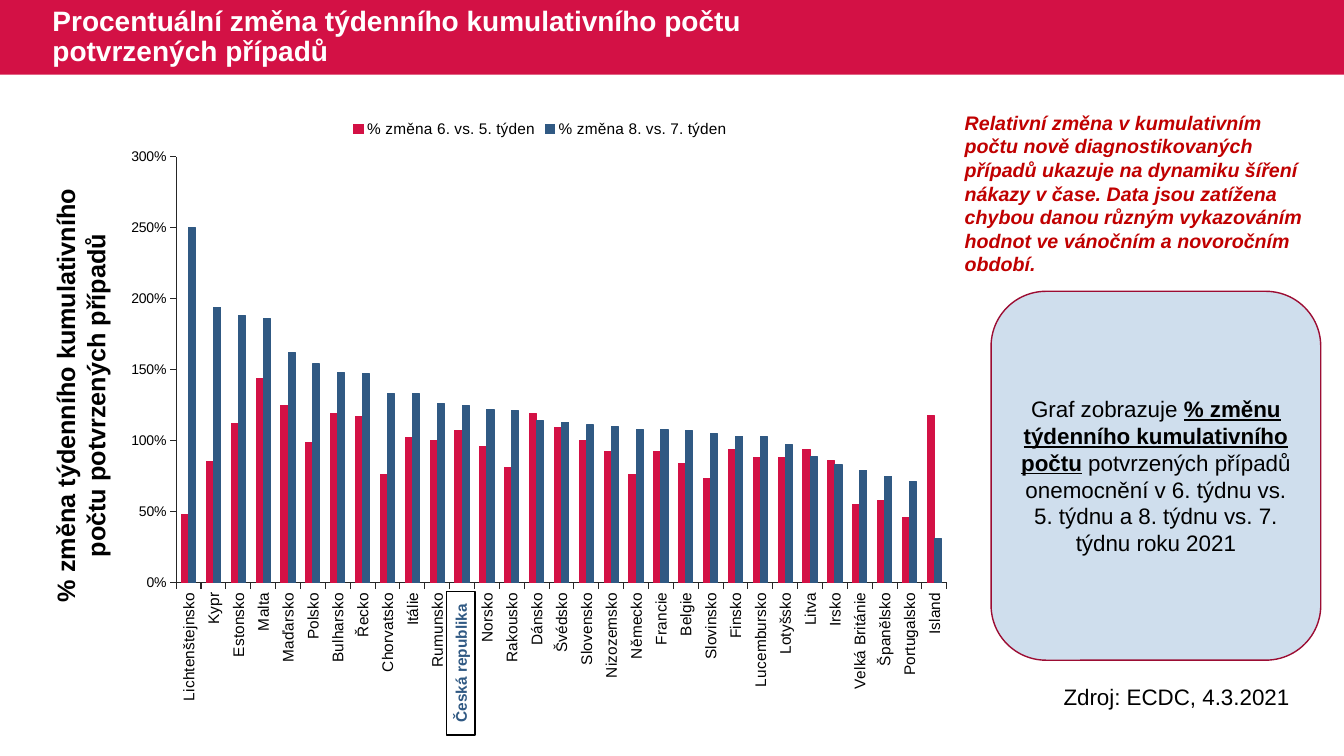
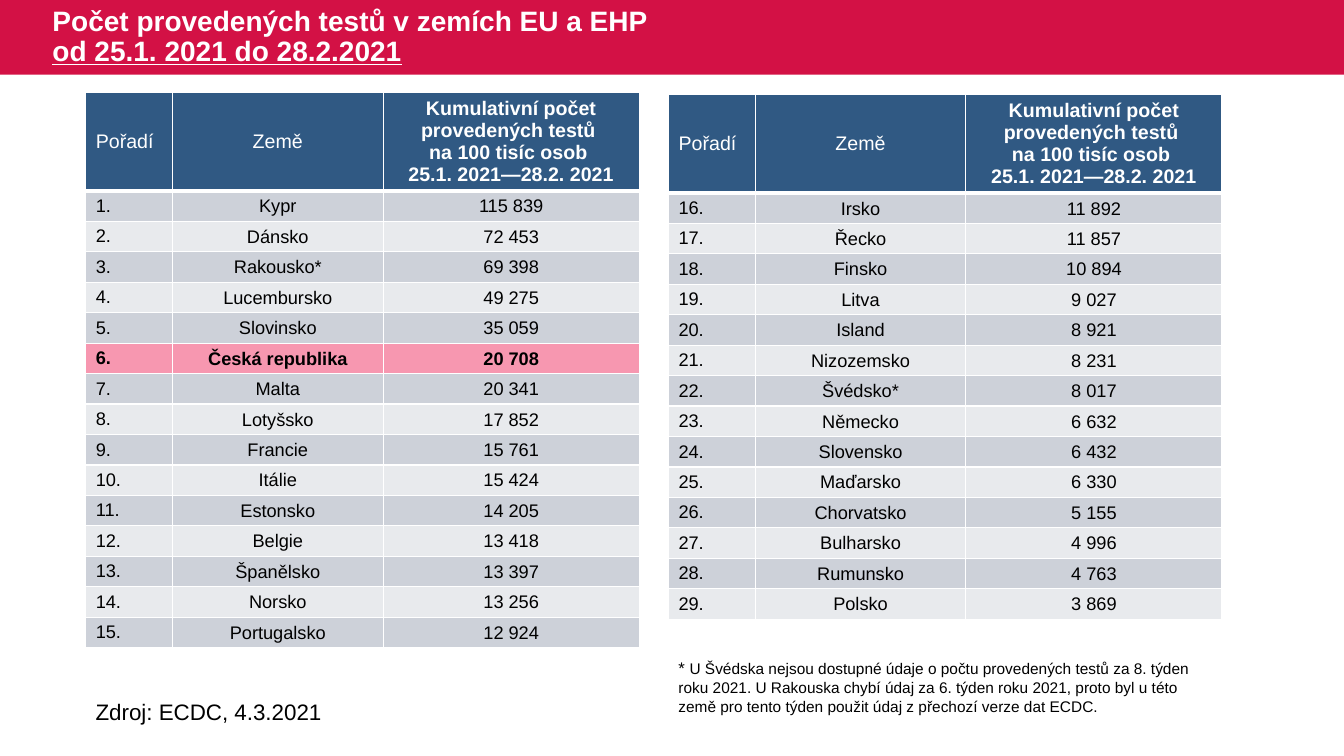
from lxml.etree import SubElement
from pptx import Presentation
from pptx.chart.data import CategoryChartData
from pptx.dml.color import RGBColor
from pptx.enum.chart import XL_CHART_TYPE, XL_LEGEND_POSITION, XL_TICK_MARK
from pptx.enum.shapes import MSO_SHAPE
from pptx.enum.text import MSO_ANCHOR, MSO_AUTO_SIZE, PP_ALIGN
from pptx.oxml import parse_xml
from pptx.oxml.ns import nsdecls, qn
from pptx.util import Inches, Pt

RED = RGBColor(0xD3, 0x11, 0x45)
DARK_RED = RGBColor(0x9C, 0x0D, 0x33)
NOTE_RED = RGBColor(0xC0, 0x00, 0x00)
PINK = RGBColor(0xF7, 0x97, 0xB0)
BLUE = RGBColor(0x30, 0x59, 0x83)
PALE_BLUE = RGBColor(0xCF, 0xDE, 0xED)
STRIPES = (RGBColor(0xE8, 0xEA, 0xED), RGBColor(0xCD, 0xD1, 0xD9))
AXIS_GREY = RGBColor(0x26, 0x26, 0x26)
BLACK = RGBColor(0, 0, 0)
WHITE = RGBColor(0xFF, 0xFF, 0xFF)
FONT = "Arial"
HOME = "Česká republika"
SOURCE = "Zdroj: ECDC, 4.3.2021"

SERIES = ("% změna 6. vs. 5. týden", "% změna 8. vs. 7. týden")
CHANGES = [
    ("Lichtenštejnsko", 0.48, 2.5), ("Kypr", 0.85, 1.94), ("Estonsko", 1.12, 1.88),
    ("Malta", 1.44, 1.86), ("Maďarsko", 1.25, 1.62), ("Polsko", 0.99, 1.54),
    ("Bulharsko", 1.19, 1.48), ("Řecko", 1.17, 1.47), ("Chorvatsko", 0.76, 1.33),
    ("Itálie", 1.02, 1.33), ("Rumunsko", 1, 1.26), (HOME, 1.07, 1.25),
    ("Norsko", 0.96, 1.22), ("Rakousko", 0.81, 1.21), ("Dánsko", 1.19, 1.14),
    ("Švédsko", 1.09, 1.13), ("Slovensko", 1, 1.11), ("Nizozemsko", 0.92, 1.1),
    ("Německo", 0.76, 1.08), ("Francie", 0.92, 1.08), ("Belgie", 0.84, 1.07),
    ("Slovinsko", 0.73, 1.05), ("Finsko", 0.94, 1.03), ("Lucembursko", 0.88, 1.03),
    ("Lotyšsko", 0.88, 0.97), ("Litva", 0.94, 0.89), ("Irsko", 0.86, 0.83),
    ("Velká Británie", 0.55, 0.79), ("Španělsko", 0.58, 0.75),
    ("Portugalsko", 0.46, 0.71), ("Island", 1.18, 0.31),
]
TESTS = [
    ("Kypr", "115 839"), ("Dánsko", "72 453"), ("Rakousko*", "69 398"),
    ("Lucembursko", "49 275"), ("Slovinsko", "35 059"), (HOME, "20 708"),
    ("Malta", "20 341"), ("Lotyšsko", "17 852"), ("Francie", "15 761"),
    ("Itálie", "15 424"), ("Estonsko", "14 205"), ("Belgie", "13 418"),
    ("Španělsko", "13 397"), ("Norsko", "13 256"), ("Portugalsko", "12 924"),
    ("Irsko", "11 892"), ("Řecko", "11 857"), ("Finsko", "10 894"),
    ("Litva", "9 027"), ("Island", "8 921"), ("Nizozemsko", "8 231"),
    ("Švédsko*", "8 017"), ("Německo", "6 632"), ("Slovensko", "6 432"),
    ("Maďarsko", "6 330"), ("Chorvatsko", "5 155"), ("Bulharsko", "4 996"),
    ("Rumunsko", "4 763"), ("Polsko", "3 869"),
]
FIRST_TABLE_ROWS = 15
COLUMN_WIDTHS = (0.86, 2.09, 2.54)
HEADER = (
    ["Pořadí"],
    ["Země"],
    ["Kumulativní počet provedených testů ", "na 100 tisíc osob ",
     "25.1. 2021—28.2. 2021"],
)


def box(left, top, width, height):
    return [Inches(v) for v in (left, top, width, height)]


def style_font(font, size, color=BLACK, **formats):
    font.color.rgb = color
    for name, value in {"name": FONT, "size": Pt(size), **formats}.items():
        setattr(font, name, value)


def write(p, runs, size, color=BLACK, align=PP_ALIGN.LEFT, **formats):
    p.alignment = align
    for text, extra in runs:
        r = p.add_run()
        r.text = text
        style_font(r.font, **{"size": size, "color": color, **formats, **extra})


def add_text(s, at, runs, size, color=BLACK, align=PP_ALIGN.LEFT, rotation=0, **formats):
    sp = s.shapes.add_textbox(*box(*at))
    sp.rotation = rotation
    tf = sp.text_frame
    tf.word_wrap = True
    tf.auto_size = MSO_AUTO_SIZE.SHAPE_TO_FIT_TEXT
    write(tf.paragraphs[0], runs, size, color, align, **formats)


def add_panel(s, kind, at, fill, line=None):
    sp = s.shapes.add_shape(kind, *box(*at))
    sp.shadow.inherit = False
    sp.fill.solid()
    sp.fill.fore_color.rgb = fill
    if line is None:
        sp.line.fill.background()
    else:
        sp.line.color.rgb = line
        sp.line.width = Pt(1)
    tf = sp.text_frame
    tf.word_wrap = True
    tf.vertical_anchor = MSO_ANCHOR.MIDDLE
    return sp


def add_title(s, *lines):
    sp = s.shapes.title
    sp.left, sp.top, sp.width, sp.height = box(0.42, 0, 8.16, 0.74)
    tf = sp.text_frame
    tf.word_wrap = True
    tf.auto_size = MSO_AUTO_SIZE.NONE
    tf.vertical_anchor = MSO_ANCHOR.MIDDLE
    p = tf.paragraphs[0]
    p.line_spacing = 0.9
    for i, run in enumerate(lines):
        if i:
            p.add_line_break()
        write(p, [run], 20, WHITE, bold=True)


def add_band(layout, s):
    band = add_panel(s, MSO_SHAPE.RECTANGLE, (0, 0, 13.33, 0.74), RED)
    layout.placeholders[0].element.addprevious(band.element)


def set_plot_area(chart, x, y, w, h):
    area = chart.element.find(".//" + qn("c:plotArea"))
    for old in area.findall(qn("c:layout")):
        area.remove(old)
    values = {"layoutTarget": "inner", "xMode": "edge", "yMode": "edge",
              "x": x, "y": y, "w": w, "h": h}
    items = "".join(f'<c:{k} val="{v}"/>' for k, v in values.items())
    area.insert(0, parse_xml(
        f'<c:layout {nsdecls("c")}><c:manualLayout>{items}</c:manualLayout></c:layout>'))


def add_change_chart(s, at):
    data = CategoryChartData(number_format="0%")
    countries, *columns = zip(*CHANGES)
    data.categories = countries
    for name, values in zip(SERIES, columns):
        data.add_series(name, values)
    chart = s.shapes.add_chart(XL_CHART_TYPE.COLUMN_CLUSTERED, *box(*at), data).chart
    chart.has_title = False
    chart.has_legend = True
    chart.legend.position = XL_LEGEND_POSITION.TOP
    chart.legend.include_in_layout = False
    style_font(chart.font, 10)
    style_font(chart.legend.font, 11)

    plot = chart.plots[0]
    plot.gap_width = 150
    plot.overlap = 0
    plot.vary_by_categories = False
    for series, color in zip(plot.series, (RED, BLUE)):
        series.invert_if_negative = False
        series.format.fill.solid()
        series.format.fill.fore_color.rgb = color
        series.format.line.color.rgb = color
        series.format.line.width = Pt(0.75)

    for axis, size in ((chart.category_axis, 11), (chart.value_axis, 10)):
        axis.has_major_gridlines = False
        axis.major_tick_mark = XL_TICK_MARK.OUTSIDE
        axis.minor_tick_mark = XL_TICK_MARK.NONE
        axis.format.line.color.rgb = AXIS_GREY
        axis.format.line.width = Pt(0.75)
        style_font(axis.tick_labels.font, size)
    scale = {"minimum_scale": 0, "maximum_scale": 3, "major_unit": 0.5}
    for name, value in scale.items():
        setattr(chart.value_axis, name, value)
    labels = chart.value_axis.tick_labels
    labels.number_format = "0%"
    labels.number_format_is_linked = False
    body = chart.element.xpath(".//c:catAx/c:txPr/a:bodyPr")[0]
    body.set("rot", "-5400000")
    body.set("vert", "horz")
    set_plot_area(chart, 0.07, 0.08, 0.91, 0.71)


def set_borders(cell, bottom=1):
    tc_pr = cell._tc.get_or_add_tcPr()
    for side, width in {"L": 1, "R": 1, "T": 1, "B": bottom}.items():
        ln = SubElement(tc_pr, qn(f"a:ln{side}"), w=str(Pt(width)))
        fill = SubElement(ln, qn("a:solidFill"))
        SubElement(fill, qn("a:srgbClr"), val=str(WHITE))


def fill_cell(cell, lines, fill, size, color, align, bottom=1, **formats):
    set_borders(cell, bottom)
    cell.fill.solid()
    cell.fill.fore_color.rgb = fill
    cell.vertical_anchor = MSO_ANCHOR.MIDDLE
    tf = cell.text_frame
    for i, line in enumerate(lines):
        p = tf.add_paragraph() if i else tf.paragraphs[0]
        write(p, [(line, {})], size, color, align, **formats)


def add_tests_table(s, left, top, tests, first_rank):
    heights = [0.72] + [0.25] * len(tests)
    at = box(left, top, sum(COLUMN_WIDTHS), sum(heights))
    table = s.shapes.add_table(len(heights), len(COLUMN_WIDTHS), *at).table
    for column, width in zip(table.columns, COLUMN_WIDTHS):
        column.width = Inches(width)
    for row, height in zip(table.rows, heights):
        row.height = Inches(height)
    aligns = (PP_ALIGN.LEFT, PP_ALIGN.CENTER, PP_ALIGN.CENTER)
    for c, lines in enumerate(HEADER):
        fill_cell(table.cell(0, c), lines, BLUE, 14, WHITE, aligns[c],
                  bottom=3, bold=c == 2)
    for r, (country, count) in enumerate(tests, 1):
        home = country == HOME
        fill = PINK if home else STRIPES[r % 2]
        for c, text in enumerate((f"{first_rank + r - 1}.", country, count)):
            cell = table.cell(r, c)
            fill_cell(cell, [text], fill, 13, BLACK, aligns[c], bold=home)
            if c:
                cell.margin_left = cell.margin_right = cell.margin_top = Inches(0.01)
                cell.margin_bottom = 0


def build_changes(s):
    add_title(s, ("Procentuální změna týdenního kumulativního počtu potvrzených případů", {}))
    add_text(s, (-1.46, 3.57, 4.52, 0.71),
             [("% změna týdenního kumulativního počtu potvrzených případů", {})],
             18, align=PP_ALIGN.CENTER, rotation=270, bold=True)
    add_text(s, (10.45, 6.73, 3.13, 0.37), [(SOURCE, {})], 16)
    strong = {"bold": True, "underline": True}
    panel = add_panel(s, MSO_SHAPE.ROUNDED_RECTANGLE, (9.83, 2.89, 3.27, 3.66),
                      PALE_BLUE, DARK_RED)
    write(panel.text_frame.paragraphs[0], [
        ("Graf zobrazuje ", {}),
        ("% změnu týdenního kumulativního", strong),
        (" ", {}),
        ("počtu", strong),
        (" potvrzených případů onemocnění v 6. týdnu vs. 5. týdnu"
         " a 8. týdnu vs. 7. týdnu roku 2021", {}),
    ], 16, align=PP_ALIGN.CENTER)
    add_change_chart(s, (1.16, 1.08, 8.4, 5.95))
    label = add_panel(s, MSO_SHAPE.RECTANGLE, (3.86, 6.44, 1.42, 0.28), WHITE, BLACK)
    label.rotation = 270
    write(label.text_frame.paragraphs[0], [(HOME, {})], 11, BLUE,
          PP_ALIGN.CENTER, bold=True)
    add_text(s, (9.47, 1.05, 3.67, 1.75), [(
        "Relativní změna v kumulativním počtu nově diagnostikovaných případů ukazuje"
        " na dynamiku šíření nákazy v čase. Data jsou zatížena chybou danou různým"
        " vykazováním hodnot ve vánočním a novoročním období.", {})],
        14, NOTE_RED, bold=True, italic=True)


def build_tests(s):
    add_title(s, ("Počet provedených testů v zemích EU a EHP ", {}),
              ("od 25.1. 2021 do 28.2.2021", {"underline": True}))
    add_tests_table(s, 0.85, 0.92, TESTS[:FIRST_TABLE_ROWS], 1)
    add_tests_table(s, 6.63, 0.94, TESTS[FIRST_TABLE_ROWS:], FIRST_TABLE_ROWS + 1)
    add_text(s, (6.63, 6.48, 5.48, 0.67), [
        ("* ", {"size": 12}),
        ("U Švédska nejsou dostupné údaje o počtu provedených testů za 8. týden roku"
         " 2021. U Rakouska chybí údaj za 6. týden roku 2021, proto byl u této země"
         " pro tento týden použit údaj z přechozí verze dat ECDC.", {}),
    ], 11)
    add_text(s, (0.85, 6.88, 3.13, 0.37), [(SOURCE, {})], 16)


def main():
    prs = Presentation()
    prs.slide_width, prs.slide_height = Inches(13.33), Inches(7.5)
    layout = prs.slide_layouts[5]
    slides = [prs.slides.add_slide(layout) for _ in range(2)]
    add_band(layout, slides[0])
    build_changes(slides[0])
    build_tests(slides[1])
    prs.save("out.pptx")


if __name__ == "__main__":
    main()
